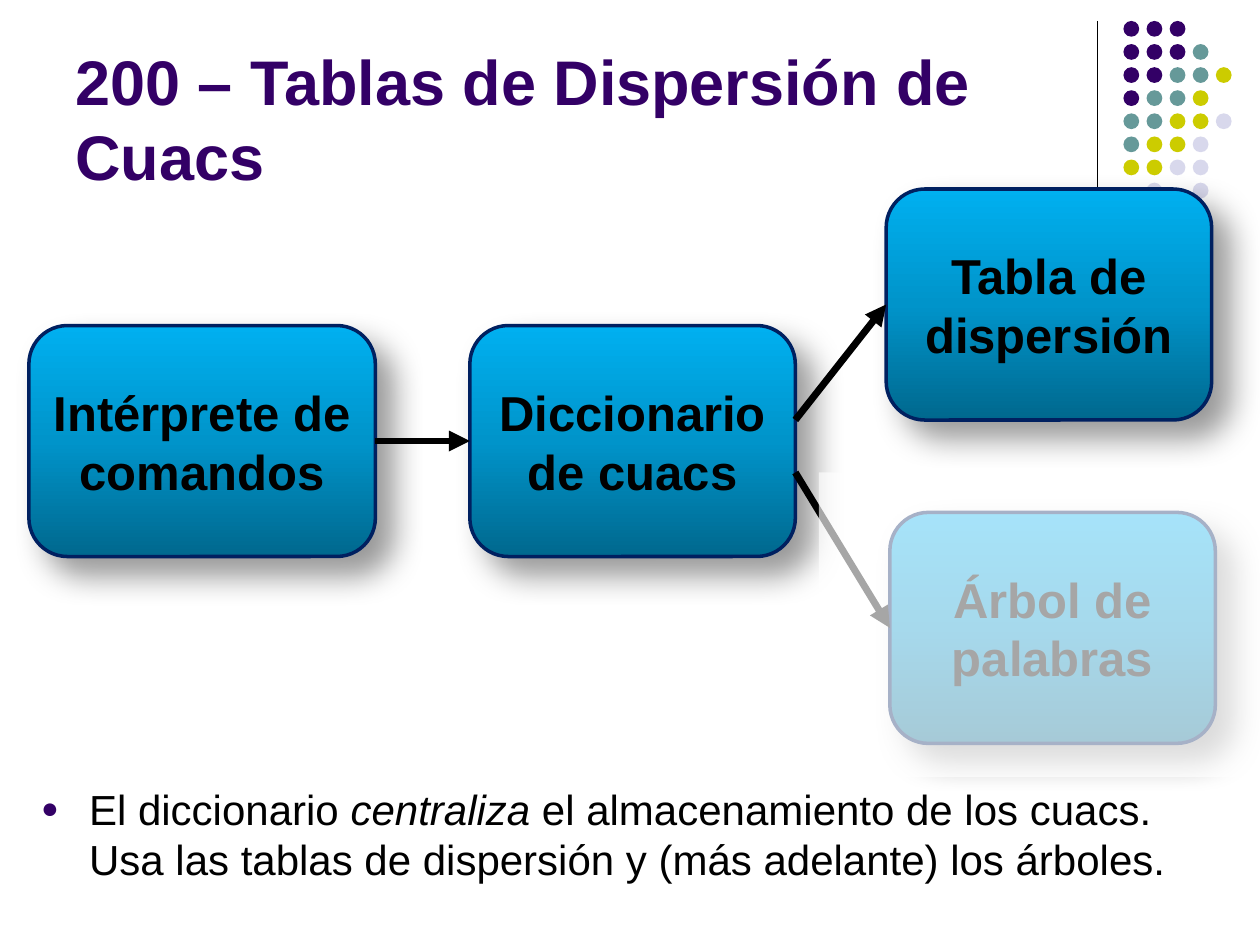
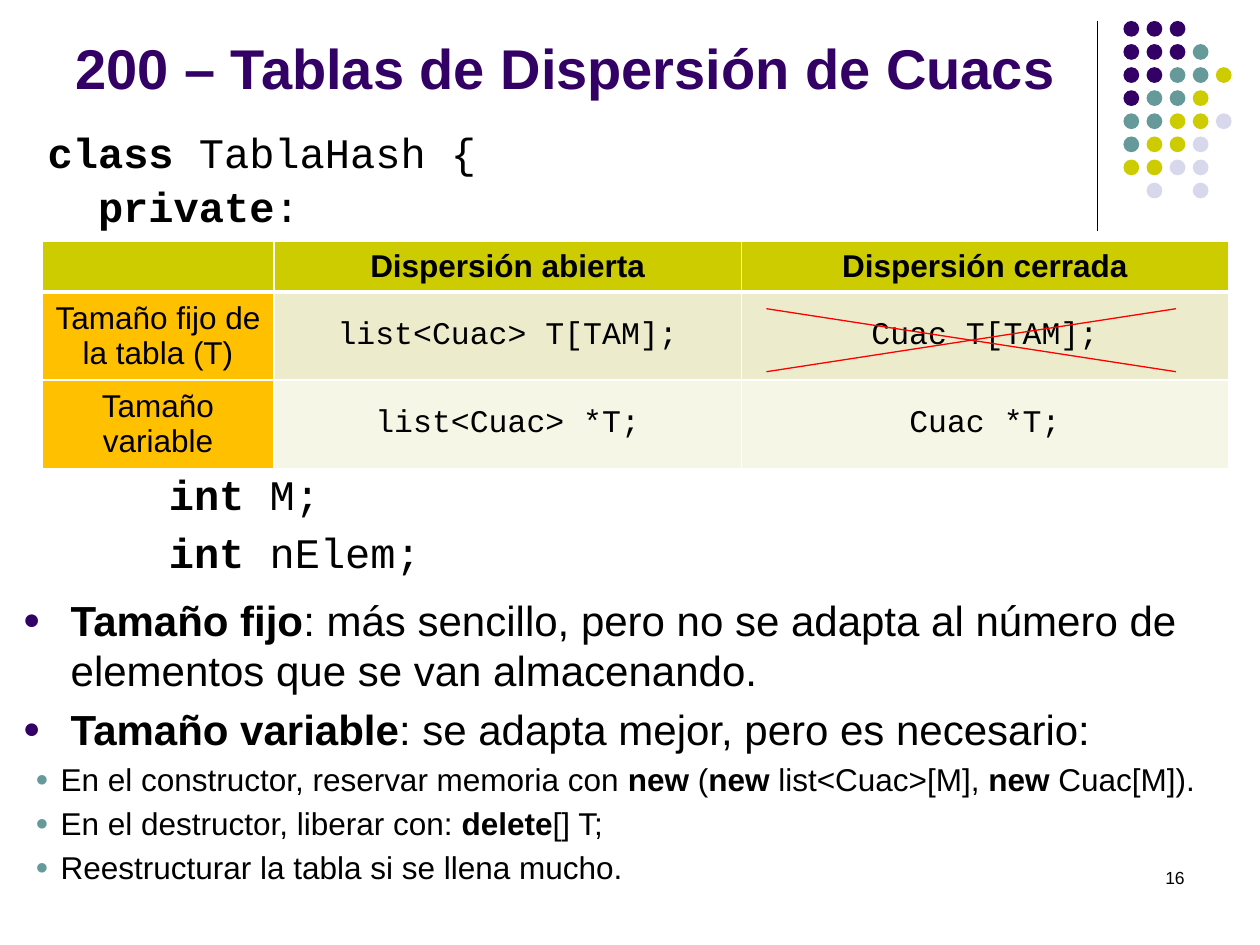
"""Build two slides about hash tables of cuacs on a shared dotted style."""
from itertools import product

from lxml.etree import SubElement
from pptx import Presentation
from pptx.dml.color import RGBColor
from pptx.enum.shapes import MSO_CONNECTOR, MSO_SHAPE
from pptx.enum.text import MSO_ANCHOR, PP_ALIGN
from pptx.oxml.ns import qn
from pptx.util import Emu, Inches, Pt

COLORS = {
    "purple": "330066", "teal": "669999", "lime": "CCCC00", "lilac": "D8D8EC",
    "black": "000000", "white": "FFFFFF", "red": "FF0000", "navy": "002060",
    "deep": "00688E", "middle": "0094CA", "sky": "00B0F0",
    "amber": "FFC000", "sand": "ECECCC", "cream": "F6F6E7",
}
DOT_COLORS = {"P": "purple", "T": "teal", "Y": "lime", "L": "lilac"}
DOT_ROWS = ("PPP", "PPPT", "PPTTY", "PTTY", "TTYYL", "TYYL", "YYLL", "-L-L")
COLUMNS, ROWS = 120, 90
SANS, MONO = "Arial", "Courier New"


def rgb(name):
    return RGBColor.from_string(COLORS[name])


def add_node(parent, tag, **attributes):
    return SubElement(parent, qn(tag), {key: str(value) for key, value in attributes.items()})


def add_color(parent, name, alpha=None):
    color = add_node(parent, "a:srgbClr", val=COLORS[name])
    if alpha is not None:
        add_node(color, "a:alpha", val=alpha * 1000)


class Deck:
    def __init__(self):
        self.presentation = Presentation()
        self.presentation.slide_width = Inches(10)
        self.presentation.slide_height = Inches(7.5)
        self.slide = None

    def x(self, columns):
        return Emu(round(self.presentation.slide_width * columns / COLUMNS))

    def y(self, rows):
        return Emu(round(self.presentation.slide_height * rows / ROWS))

    def area(self, left, top, width, height):
        return self.x(left), self.y(top), self.x(width), self.y(height)

    def new_slide(self, title, area, size, spacing=None):
        self.slide = self.presentation.slides.add_slide(self.presentation.slide_layouts[6])
        self.line((104.5, 2), (104.5, 22), "black", 0.75)
        self.dots()
        frame = self.text_box(area, MSO_ANCHOR.BOTTOM)
        self.paragraph(frame, [(title, "b")], size, color="purple", spacing=spacing)

    def dots(self):
        group = self.slide.shapes.add_group_shape()
        for row, pattern in enumerate(DOT_ROWS):
            for column, letter in enumerate(pattern):
                if letter in DOT_COLORS:
                    area = self.area(107 + 2.2 * column, 2 + 2.2 * row, 1.5, 1.5)
                    dot = group.shapes.add_shape(MSO_SHAPE.OVAL, *area)
                    self.plain(dot, DOT_COLORS[letter])

    def plain(self, shape, color):
        shape.shadow.inherit = False
        shape.fill.solid()
        shape.fill.fore_color.rgb = rgb(color)
        shape.line.fill.background()

    def text_box(self, area, anchor=MSO_ANCHOR.TOP):
        frame = self.slide.shapes.add_textbox(*self.area(*area)).text_frame
        frame.word_wrap = True
        frame.vertical_anchor = anchor
        return frame

    def paragraph(self, frame, runs, size, font=SANS, color="black", align=None, spacing=None,
                  margin=None, hanging=0, bullet=None, level=0):
        paragraph = frame.paragraphs[0]
        if paragraph.runs:
            paragraph = frame.add_paragraph()
        paragraph.level = level
        paragraph.alignment = align
        properties = paragraph._p.get_or_add_pPr()
        if margin is not None:
            properties.set("marL", str(Inches(margin)))
            properties.set("indent", str(-Inches(hanging)))
            add_node(add_node(properties, "a:spcBef"), "a:spcPct", val=20000)
        if bullet:
            add_color(add_node(properties, "a:buClr"), bullet)
            add_node(properties, "a:buSzPct", val=70000)
            add_node(properties, "a:buFont", typeface=SANS)
            add_node(properties, "a:buChar", char="●")
        if spacing:
            paragraph.line_spacing = spacing
        for text, style in runs:
            run = paragraph.add_run()
            run.text = text
            run.font.name, run.font.size = font, Pt(size)
            run.font.bold, run.font.italic = style == "b", style == "i"
            run.font.color.rgb = rgb(color)

    def bullet(self, frame, *runs):
        self.paragraph(frame, runs, 24, margin=0.38, hanging=0.38, bullet="purple")

    def sub_bullet(self, frame, *runs):
        self.paragraph(frame, runs, 18, margin=0.3, hanging=0.2, bullet="teal", level=1)

    def code(self, frame, margin, *runs, spacing=None):
        self.paragraph(frame, runs, 24, MONO, margin=margin, spacing=spacing)

    def module(self, area, *lines):
        shape = self.slide.shapes.add_shape(MSO_SHAPE.ROUNDED_RECTANGLE, *self.area(*area))
        shape.fill.gradient()
        shape.fill.gradient_angle = 90
        stops = shape._element.spPr.find(".//" + qn("a:gsLst"))
        stops.clear()
        for position, color in ((0, "deep"), (50, "middle"), (100, "sky")):
            add_color(add_node(stops, "a:gs", pos=position * 1000), color)
        shape.line.color.rgb = rgb("navy")
        shape.line.width = Pt(2)
        shape.shadow.inherit = False
        effects = shape._element.spPr.find(qn("a:effectLst"))
        shadow = add_node(effects, "a:outerShdw", blurRad=Pt(18), dist=Pt(14),
                          dir=45 * 60000, algn="tl", rotWithShape=0)
        add_color(shadow, "black", 40)
        frame = shape.text_frame
        frame.word_wrap = True
        frame.vertical_anchor = MSO_ANCHOR.MIDDLE
        for line in lines:
            self.paragraph(frame, [(line, "b")], 28, align=PP_ALIGN.CENTER)
        return shape

    def line(self, start, end, color, width, shapes=None):
        points = self.x(start[0]), self.y(start[1]), self.x(end[0]), self.y(end[1])
        shapes = shapes or self.slide.shapes
        connector = shapes.add_connector(MSO_CONNECTOR.STRAIGHT, *points)
        connector.line.color.rgb = rgb(color)
        connector.line.width = Pt(width)
        add_node(connector._element.spPr, "a:effectLst")
        return connector

    def arrow(self, start, target, source=None):
        connector = self.line(start, start, "black", 4)
        if source is not None:
            connector.begin_connect(source, 3)
        connector.end_connect(target, 1)
        add_node(connector.line._get_or_add_ln(), "a:tailEnd", type="triangle")

    def veil(self, area):
        shape = self.slide.shapes.add_shape(MSO_SHAPE.RECTANGLE, *self.area(*area))
        self.plain(shape, "white")
        color = shape._element.spPr.find(qn("a:solidFill"))[0]
        add_node(color, "a:alpha", val=65000)

    def cross(self, left, top, right, bottom):
        group = self.slide.shapes.add_group_shape()
        self.line((left, top), (right, bottom), "red", 0.75, group.shapes)
        self.line((left, bottom), (right, top), "red", 0.75, group.shapes)

    def table(self, left, top, widths, heights, texts, fills):
        area = self.area(left, top, sum(widths), sum(heights))
        table = self.slide.shapes.add_table(len(heights), len(widths), *area).table
        for column, width in zip(table.columns, widths):
            column.width = self.x(width)
        for row, height in zip(table.rows, heights):
            row.height = self.y(height)
        for row, column in product(range(len(heights)), range(len(widths))):
            cell = table.cell(row, column)
            cell.vertical_anchor = MSO_ANCHOR.MIDDLE
            font = MONO if row and column else SANS
            if texts[row][column]:
                style = "" if row else "b"
                self.paragraph(cell.text_frame, [(texts[row][column], style)], 18, font,
                               align=PP_ALIGN.CENTER)
            self.borders(cell, {"L": 1, "R": 1, "T": 3 if row == 1 else 1, "B": 1 if row else 3})
            cell.fill.solid()
            cell.fill.fore_color.rgb = rgb(fills[row][column])

    def borders(self, cell, widths):
        properties = cell._tc.get_or_add_tcPr()
        for side, width in widths.items():
            border = add_node(properties, f"a:ln{side}", w=Pt(width))
            add_color(add_node(border, "a:solidFill"), "white")


def build_modules(deck):
    deck.new_slide("200 – Tablas de Dispersión de Cuacs", (6, 1.6, 99, 17.4), 36)
    frame = deck.text_box((2.75, 74, 115.2, 12))
    deck.bullet(frame, ("El diccionario ", ""), ("centraliza", "i"),
                (" el almacenamiento de los cuacs. Usa las tablas de dispersión"
                 " y (más adelante) los árboles.", ""))
    interpreter = deck.module((2.75, 31, 33, 22), "Intérprete de", "comandos")
    dictionary = deck.module((44.75, 31, 31, 22), "Diccionario de cuacs")
    hash_table = deck.module((84.4, 18, 31, 22), "Tabla de", "dispersión")
    tree = deck.module((84.75, 48.8, 31, 22), "Árbol de palabras")
    deck.arrow((35.75, 42), dictionary, interpreter)
    deck.arrow((75.75, 40), hash_table)
    deck.arrow((75.75, 45), tree)
    deck.veil((78, 45, 42, 29))


def build_class(deck):
    deck.new_slide("200 – Tablas de Dispersión de Cuacs", (6, 2.6, 99, 7.5), 32, 0.8)
    frame = deck.text_box((3, 12, 113, 12))
    deck.code(frame, 0.03, ("class", "b"), (" TablaHash {", ""), spacing=0.9)
    deck.code(frame, 0.43, ("private", "b"), (":", ""), spacing=0.9)
    number = deck.text_box((86, 82, 28, 6))
    deck.paragraph(number, [("16", "")], 10, align=PP_ALIGN.RIGHT)
    deck.table(
        4, 23, (22.1, 44.5, 46.4), (4.8, 8.4, 8.4),
        (("", "Dispersión abierta", "Dispersión cerrada"),
         ("Tamaño fijo de la tabla (T)", "list<Cuac> T[TAM];", "Cuac T[TAM];"),
         ("Tamaño variable", "list<Cuac> *T;", "Cuac *T;")),
        (("lime",) * 3, ("amber", "sand", "sand"), ("amber", "cream", "cream")))
    frame = deck.text_box((2.9, 44, 113, 13))
    for name in (" M;", " nElem;"):
        deck.code(frame, 1, ("int", "b"), (name, ""))
    deck.cross(73, 29.4, 112, 35.4)
    frame = deck.text_box((1, 56, 119, 30))
    deck.bullet(frame, ("Tamaño fijo", "b"),
                (": más sencillo, pero no se adapta al número de elementos"
                 " que se van almacenando.", ""))
    deck.bullet(frame, ("Tamaño variable", "b"), (": se adapta mejor, pero es necesario:", ""))
    deck.sub_bullet(frame, ("En el constructor, reservar memoria con ", ""), ("new", "b"),
                    (" (", ""), ("new ", "b"), ("list<Cuac>[M], ", ""), ("new ", "b"),
                    ("Cuac[M]).", ""))
    deck.sub_bullet(frame, ("En el destructor, liberar con: ", ""), ("delete", "b"), ("[] T;", ""))
    deck.sub_bullet(frame, ("Reestructurar la tabla si se llena mucho.", ""))


def main():
    deck = Deck()
    build_modules(deck)
    build_class(deck)
    deck.presentation.save("out.pptx")


if __name__ == "__main__":
    main()
